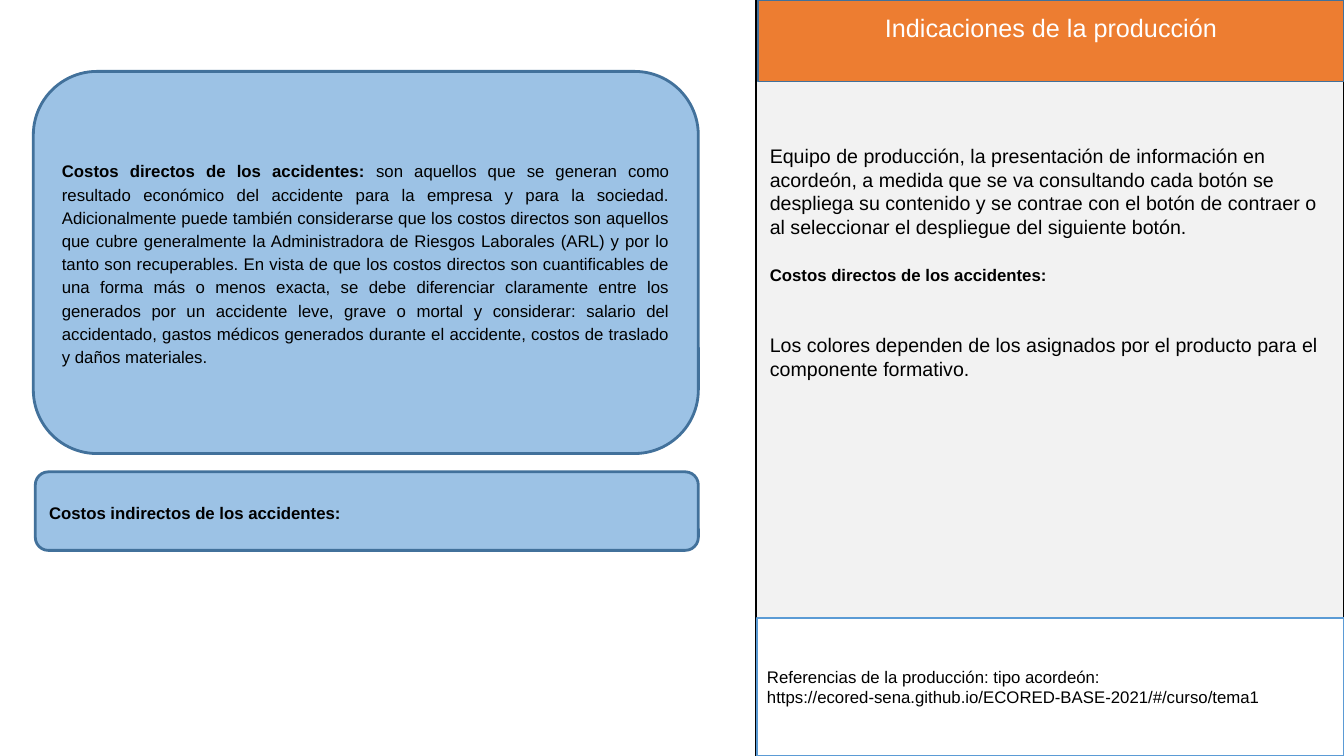
from pptx import Presentation
from pptx.dml.color import RGBColor
from pptx.enum.shapes import MSO_SHAPE as Preset
from pptx.enum.text import MSO_ANCHOR as Anchor, MSO_AUTO_SIZE as AutoSize, PP_ALIGN as Align
from pptx.util import Cm, Pt

COLORS = {"panel": "F2F2F2", "header": "ED7D31", "button": "9CC2E5", "edge": "42719B",
          "reference_edge": "5B9BD5", "black": "000000", "white": "FFFFFF"}
SLIDE_W, SLIDE_H = 33.87, 19.05
PANEL_LEFT = 19.05
HEADER_LEFT, HEADER_H = 19.1, 2.06
REFERENCE_LEFT, REFERENCE_TOP = 19.08, 15.57

HEADING = "Indicaciones de la producción"
DIRECT = "Costos directos de los accidentes:"
DIRECT_DETAIL = (
    " son aquellos que se generan como resultado económico del accidente para la empresa y para "
    "la sociedad. Adicionalmente puede también considerarse que los costos directos son aquellos "
    "que cubre generalmente la Administradora de Riesgos Laborales (ARL) y por lo tanto son "
    "recuperables. En vista de que los costos directos son cuantificables de una forma más o menos "
    "exacta, se debe diferenciar claramente entre los generados por un accidente leve, grave o "
    "mortal y considerar: salario del accidentado, gastos médicos generados durante el accidente, "
    "costos de traslado y daños materiales.")
INDIRECT = "Costos indirectos de los accidentes:"
ACCORDION_NOTE = (
    "Equipo de producción, la presentación de información en acordeón, a medida que se va "
    "consultando cada botón se despliega su contenido y se contrae con el botón de contraer o al "
    "seleccionar el despliegue del siguiente botón.")
COLOR_NOTE = ("Los colores dependen de los asignados por el producto para el componente "
              "formativo.")
REFERENCE = ("Referencias de la producción: tipo acordeón: "
             "https://ecored-sena.github.io/ECORED-BASE-2021/#/curso/tema1")

# Accordion buttons: box in cm, bold label, detail
BUTTONS = [
    ((0.89, 11.89, 16.71, 1.98), INDIRECT, ""),
    ((0.84, 1.8, 16.76, 9.63), DIRECT, DIRECT_DETAIL),
]
# Panel notes: text and format
NOTES = [
    (ACCORDION_NOTE, {"size": 14}),
    (DIRECT, {"bold": True, "align": Align.JUSTIFY, "spacing": 1.15, "before": 17}),
    (COLOR_NOTE, {"size": 14, "before": 34}),
]


def color(key):
    return RGBColor.from_string(COLORS[key])


def paint(shape, fill, edge, width=1):
    shape.fill.solid()
    shape.fill.fore_color.rgb = color(fill)
    shape.line.color.rgb = color(edge)
    shape.line.width = Pt(width)


def add_box(slide, preset, box, fill, edge, width=1):
    shape = slide.shapes.add_shape(preset, *map(Cm, box))
    shape.shadow.inherit = False
    paint(shape, fill, edge, width)
    shape.text_frame.word_wrap = True
    shape.text_frame.vertical_anchor = Anchor.MIDDLE
    return shape


def write(paragraph, text, size=12, ink="black", bold=False, align=Align.LEFT,
          spacing=1.0, before=0):
    """Append one formatted run and set the format of its paragraph."""
    paragraph.alignment = align
    paragraph.line_spacing = spacing
    paragraph.space_before = Pt(before)
    run = paragraph.add_run()
    run.text = text
    run.font.name = "Arial"
    run.font.size = Pt(size)
    run.font.bold = bold
    run.font.color.rgb = color(ink)


def add_header(slide):
    header = slide.shapes.title
    header.left, header.top = Cm(HEADER_LEFT), Cm(0)
    header.width, header.height = Cm(SLIDE_W - HEADER_LEFT), Cm(HEADER_H)
    paint(header, "header", "edge")
    frame = header.text_frame
    frame.auto_size = AutoSize.NONE
    frame.word_wrap = True
    frame.vertical_anchor = Anchor.TOP
    frame.margin_top = Cm(0.31)
    write(frame.paragraphs[0], HEADING, size=18, ink="white", align=Align.CENTER)
    # Bring the header in front of the panel
    header.element.getparent().append(header.element)


def add_notes(slide):
    frame = slide.shapes.add_textbox(Cm(19.15), Cm(3.51), Cm(14.76), Cm(8.38)).text_frame
    frame.word_wrap = True
    for index, (note, style) in enumerate(NOTES):
        paragraph = frame.add_paragraph() if index else frame.paragraphs[0]
        write(paragraph, note, **style)


def main():
    deck = Presentation()
    deck.slide_width, deck.slide_height = Cm(SLIDE_W), Cm(SLIDE_H)
    slide = deck.slides.add_slide(deck.slide_layouts[5])

    add_box(slide, Preset.RECTANGLE, (PANEL_LEFT, 0, SLIDE_W - PANEL_LEFT, SLIDE_H),
            "panel", "black")
    add_notes(slide)
    add_header(slide)
    reference = add_box(
        slide, Preset.RECTANGLE,
        (REFERENCE_LEFT, REFERENCE_TOP, SLIDE_W - REFERENCE_LEFT, SLIDE_H - REFERENCE_TOP),
        "white", "reference_edge")
    write(reference.text_frame.paragraphs[0], REFERENCE)

    for box, label, detail in BUTTONS:
        button = add_box(slide, Preset.ROUNDED_RECTANGLE, box, "button", "edge", width=2)
        paragraph = button.text_frame.paragraphs[0]
        layout = {"align": Align.JUSTIFY, "spacing": 1.15}
        write(paragraph, label, bold=True, **layout)
        if detail:
            write(paragraph, detail, **layout)

    deck.save("out.pptx")


if __name__ == "__main__":
    main()
